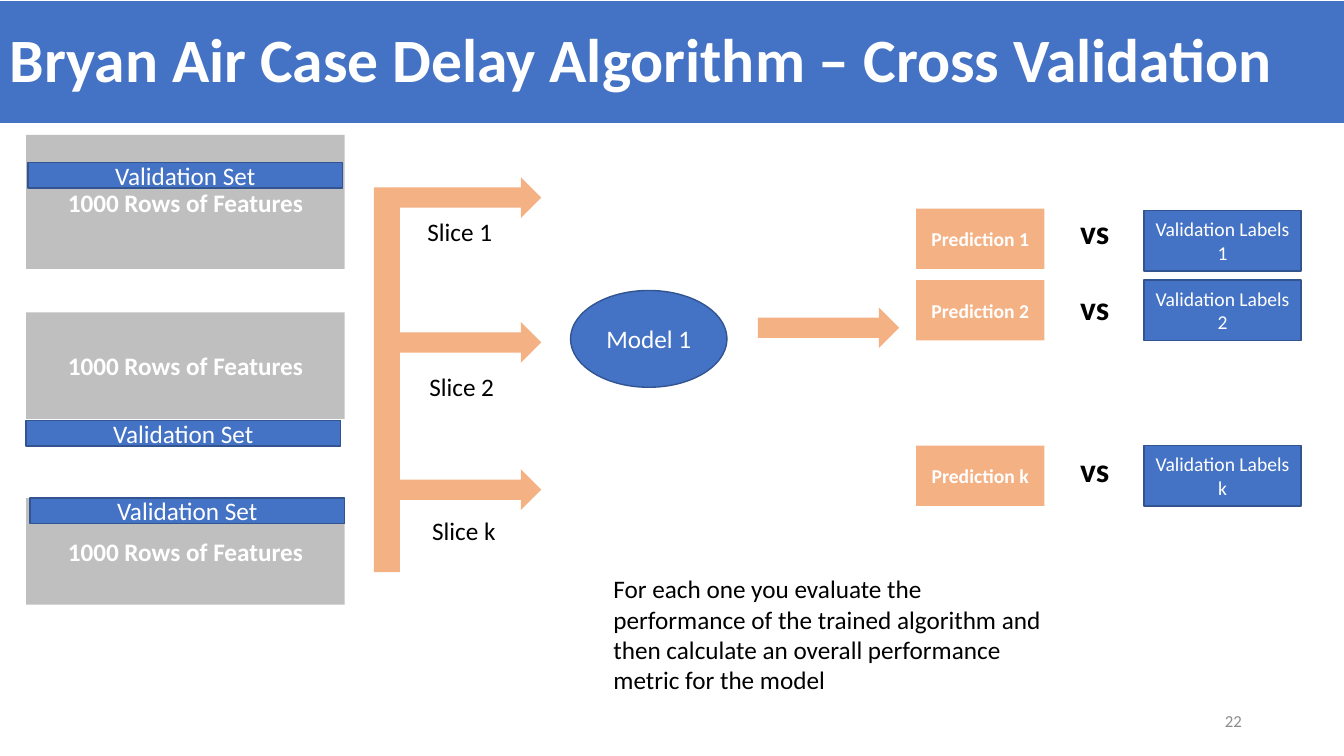
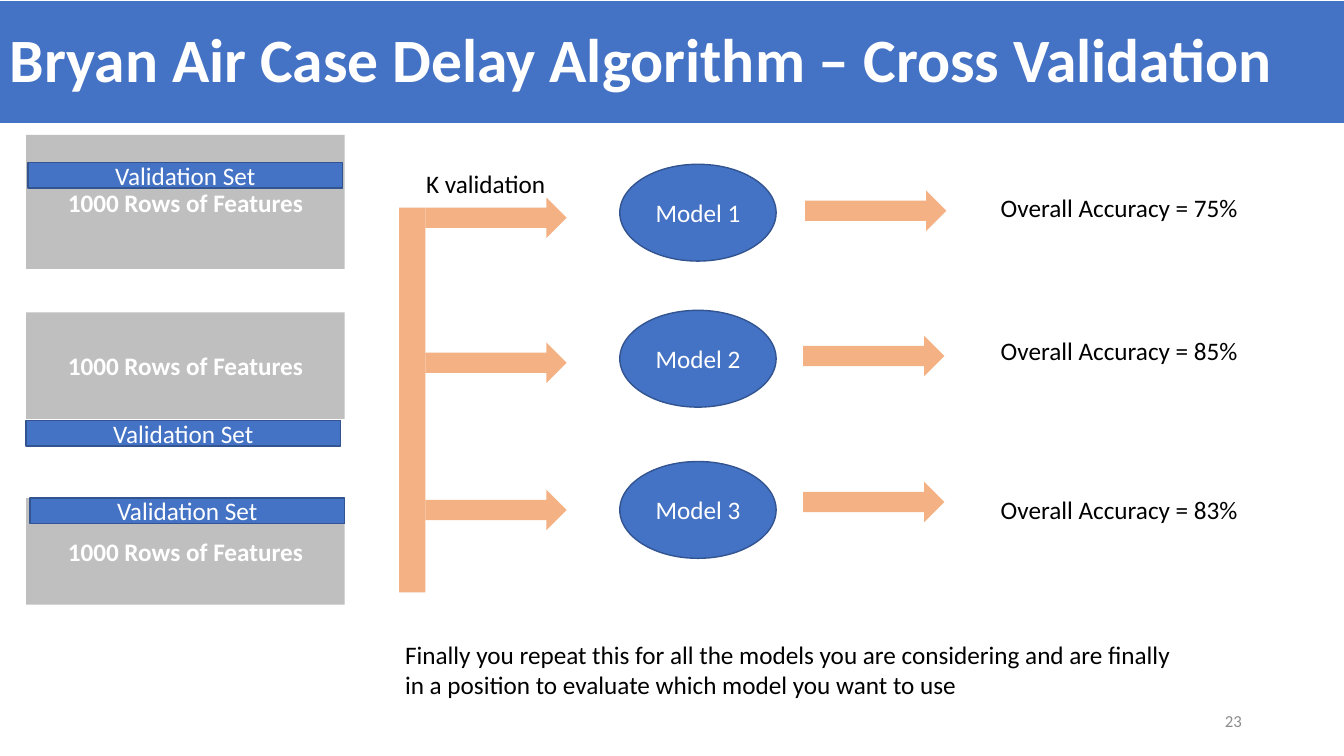
from pptx import Presentation
from pptx.dml.color import RGBColor as Rgb
from pptx.enum.shapes import MSO_SHAPE as Geo
from pptx.enum.text import MSO_ANCHOR as Anchor, PP_ALIGN as Align
from pptx.util import Cm, Pt

BLUE, EDGE, GREY, PEACH = "4472C4", "325491", "BFBFBF", "F4B183"
WHITE, BLACK, DIM = "FFFFFF", "000000", "8C8C8C"

# Shared formats
BOX = dict(fill=BLUE, line=EDGE)
BAND = dict(fill=BLUE, align=Align.LEFT, size=44, bold=True, space=0.9)
NOTE = dict(geo=None, ink=BLACK, align=Align.LEFT, anchor=Anchor.TOP)
ARROW = dict(geo=Geo.RIGHT_ARROW, fill=PEACH)
OVAL = dict(geo=Geo.OVAL, **BOX)
DATA = dict(fill=GREY, bold=True)
GUESS = dict(fill=PEACH, bold=True, size=14)
VERSUS = dict(geo=None, ink=BLACK, anchor=Anchor.TOP, size=24, bold=True)
PAGE = dict(geo=None, ink=DIM, align=Align.RIGHT, size=12)


def tint(part, code):
    """Colour a fill or a font, or clear a fill when there is no code."""
    if code is None:
        part.background()
        return
    if hasattr(part, "solid"):
        part.solid()
        part = part.fore_color
    else:
        part = part.color
    part.rgb = Rgb.from_string(code)


def put(slide, spot, text="", geo=Geo.RECTANGLE, fill=None, line=None, ink=WHITE,
        size=18, bold=False, align=Align.CENTER, anchor=Anchor.MIDDLE, space=None):
    """Place a shape, or a text box when geo is None."""
    area = [Cm(n) for n in spot]
    if geo is None:
        item = slide.shapes.add_textbox(*area)
    else:
        item = slide.shapes.add_shape(geo, *area)
        item.shadow.inherit = False
        tint(item.fill, fill)
        tint(item.line.fill, line)
        if line:
            item.line.width = Pt(1)
    if not text:
        return
    frame = item.text_frame
    para = frame.paragraphs[0]
    run = para.add_run()
    looks = {
        frame: dict(word_wrap=True, vertical_anchor=anchor),
        para: dict(alignment=align, line_spacing=space),
        run: dict(text=text),
        run.font: dict(name="Calibri", size=Pt(size), bold=bold),
    }
    for part, style in looks.items():
        for key, value in style.items():
            setattr(part, key, value)
    tint(run.font, ink)


deck = Presentation()
deck.slide_width, deck.slide_height = Cm(33.87), Cm(19.05)

# Shared parts: title, page number, data blocks and the branching arrows
pages = []
for number, left, top in (("22", 9.42, 4.72), ("23", 10.06, 5.23)):
    slide = deck.slides.add_slide(deck.slide_layouts[6])
    pages.append(slide)
    put(slide, (0, 0.03, 33.87, 3.07),
        "Bryan Air Case Delay Algorithm – Cross Validation", **BAND)
    put(slide, (23.93, 17.65, 7.62, 1.02), number, **PAGE)

    for y, high, x, bar in ((3.4, 3.38, 0.71, 4.09),
                            (7.87, 2.69, 0.66, 10.59),
                            (12.55, 2.69, 0.76, 12.55)):
        put(slide, (0.66, y, 8.03, high), "1000 Rows of Features", **DATA)
        put(slide, (x, bar, 7.92, 0.65), "Validation Set", **BOX)

    put(slide, (left, top, 0.66, 9.7), fill=PEACH)
    for drop in (-0.25, 3.4, 7.11):
        put(slide, (left + 0.66, top + drop, 3.56, 1.02), **ARROW)

folds, models = pages

# Folds: slices into one model, then predictions against labels
for tag, x, y in (("1", 10.52, 5.33), ("2", 10.57, 9.22), ("k", 10.64, 12.85)):
    put(folds, (x, y, 2.46, 1.02), f"Slice {tag}", **NOTE)

put(folds, (14.38, 7.32, 3.94, 2.44), "Model 1", **OVAL)
put(folds, (19.1, 7.75, 3.56, 1.02), **ARROW)

for tag, y, mid, end in (("1", 5.26, 5.18, 5.31),
                         ("2", 7.06, 7.11, 7.06),
                         ("k", 11.23, 11.18, 11.23)):
    put(folds, (23.09, y, 3.23, 1.52), f"Prediction {tag}", **GUESS)
    put(folds, (26.75, mid, 1.68, 1.27), "vs", **VERSUS)
    put(folds, (28.83, end, 3.96, 1.52), f"Validation Labels {tag}", size=14, **BOX)

put(folds, (15.21, 14.33, 11.53, 3.33),
    "For each one you evaluate the performance of the trained algorithm "
    "and then calculate an overall performance metric for the model", **NOTE)

# Models: one accuracy for each
put(models, (10.49, 4.11, 3.56, 1.02), "K validation", **NOTE)
for tag, y, x, mid, end, score in ((1, 4.14, 20.29, 4.8, 4.72, 75),
                                   (2, 7.82, 20.24, 8.46, 8.33, 85),
                                   (3, 11.63, 20.24, 12.14, 12.32, 83)):
    put(models, (15.62, y, 3.94, 2.44), f"Model {tag}", **OVAL)
    put(models, (x, mid, 3.56, 1.02), **ARROW)
    put(models, (24.97, end, 7.62, 1.02), f"Overall Accuracy = {score}%", **NOTE)

put(models, (9.96, 15.98, 19.84, 1.8),
    "Finally you repeat this for all the models you are considering and are "
    "finally in a position to evaluate which model you want to use", **NOTE)

deck.save("out.pptx")
